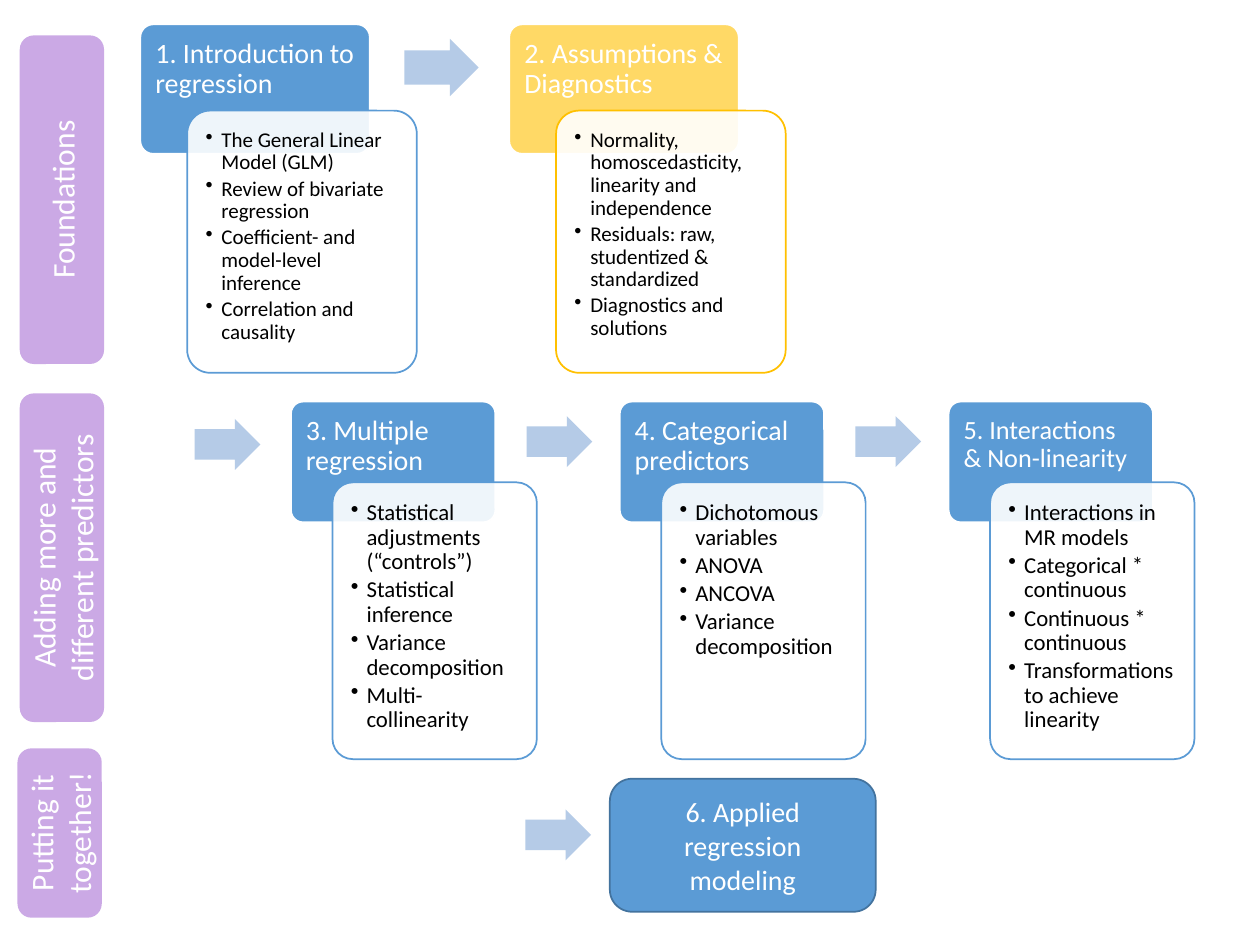
from lxml import etree
from pptx import Presentation
from pptx.dml import color
from pptx.enum import shapes, text
from pptx.oxml import ns
from pptx.util import Pt

BLUE, GOLD, LILAC, PALE, WHITE = "5B9BD5", "FFD966", "CBA9E5", "B5CBE7", "FFFFFF"
ROUND, ARROW = shapes.MSO_SHAPE.ROUNDED_RECTANGLE, shapes.MSO_SHAPE.RIGHT_ARROW
LEFT, CENTER = text.PP_ALIGN.LEFT, text.PP_ALIGN.CENTER

# Content: stages as (label, left, top, height)
stages = [
    ("Foundations", 11.3, 20.2, 187.8),
    ("Adding more and different predictors", 11.3, 224.8, 187.8),
    ("Putting it together!", 10, 427.6, 96.8),
]

# Topics as (heading, heading size, fill, outline, bullets)
foundations = [
    ("1. Introduction to regression", 16, BLUE, BLUE, [
        "The General Linear Model (GLM)", "Review of bivariate regression",
        "Coefficient- and model-level inference", "Correlation and causality"]),
    ("2. Assumptions & Diagnostics", 16, GOLD, "FFC000", [
        "Normality, homoscedasticity, linearity and independence",
        "Residuals: raw, studentized & standardized",
        "Diagnostics and solutions"]),
]
predictors = [
    ("3. Multiple regression", 16, BLUE, BLUE, [
        "Statistical adjustments (“controls”)", "Statistical inference",
        "Variance decomposition", "Multi-collinearity"]),
    ("4. Categorical predictors", 16, BLUE, BLUE, [
        "Dichotomous variables", "ANOVA", "ANCOVA", "Variance decomposition"]),
    ("5. Interactions & Non-linearity", 15, BLUE, BLUE, [
        "Interactions in MR models", "Categorical * continuous",
        "Continuous * continuous", "Transformations to achieve linearity"]),
]

# Row geometry: head and card are (width, height), shift is card from head,
# arrow is (dx, dy, width, height) from head
rows = [
    dict(topics=foundations, left=80.2, top=13.9, pitch=210.8, head=(131.2, 74),
         shift=(26.8, 49.3), card=(131.2, 149.8), arrow=(150.9, 8.3, 42.4, 32.8),
         size=12, inset=6.7),
    dict(topics=predictors, left=166.3, top=229.5, pitch=187.9, head=(116.8, 69),
         shift=(23.7, 46.1), card=(116.8, 158.2), arrow=(134.6, 8.3, 37.6, 29.1),
         size=13, inset=7.2),
]
lone_arrows = [(111.2, 239.4), (300.2, 462.5)]

deck = Presentation()
deck.slide_width, deck.slide_height = Pt(720), Pt(540)
page = deck.slides.add_slide(deck.slide_layouts[6])


def rgb(value):
    return color.RGBColor.from_string(value)


def add_box(kind, left, top, width, height, fill, line=None, corner=None):
    box = page.shapes.add_shape(kind, Pt(left), Pt(top), Pt(width), Pt(height))
    box.shadow.inherit = False
    box.fill.solid()
    box.fill.fore_color.rgb = rgb(fill)
    if line:
        box.line.color.rgb = rgb(line)
        box.line.width = Pt(1)
    else:
        box.line.fill.background()
    if corner:
        box.adjustments[0] = corner
    return box


def add_arrow(left, top, width=37.6, height=29.1):
    arrow = add_box(ARROW, left, top, width, height, PALE)
    arrow.adjustments[0] = 0.6


def write(box, lines, size, ink, align=CENTER, spacing=None, after=0):
    frame = box.text_frame
    frame.word_wrap = True
    frame.vertical_anchor = (text.MSO_ANCHOR.MIDDLE if align == CENTER
                             else text.MSO_ANCHOR.TOP)
    frame.text = "\n".join(lines)
    for para in frame.paragraphs:
        para.alignment = align
        para.line_spacing = spacing
        para.space_after = Pt(after)
        para.font.size, para.font.name = Pt(size), "Calibri"
        para.font.color.rgb = rgb(ink)
    return frame


def set_insets(frame, left, top, right, bottom):
    frame.margin_left, frame.margin_top = Pt(left), Pt(top)
    frame.margin_right, frame.margin_bottom = Pt(right), Pt(bottom)


def add_bullets(frame):
    for para in frame.paragraphs:
        props = para._p.get_or_add_pPr()
        props.set("marL", str(Pt(9)))
        props.set("indent", str(-Pt(9)))
        bullet = props.makeelement(ns.qn("a:buChar"), {"char": "•"})
        props.insert_element_before(bullet, "a:tabLst", "a:defRPr", "a:extLst")


def set_opacity(box, percent):
    tint = box.fill._xPr.find(ns.qn("a:solidFill"))[0]
    etree.SubElement(tint, ns.qn("a:alpha"), val=str(percent * 1000))


# Topic rows: heading, overlapping card, arrow to the next topic
for row in rows:
    for index, (heading, size, fill, outline, bullets) in enumerate(row["topics"]):
        left, top = row["left"] + index * row["pitch"], row["top"]
        head = add_box(ROUND, left, top, *row["head"], fill, WHITE, 0.1)
        frame = write(head, [heading], size, WHITE, LEFT, 0.9)
        set_insets(frame, 6.5, 6.5, 6.5, 3)

        dx, dy = row["shift"]
        card = add_box(ROUND, left + dx, top + dy, *row["card"], WHITE, outline, 0.1)
        set_opacity(card, 90)
        frame = write(card, bullets, row["size"], "000000", LEFT, 0.9, 2)
        set_insets(frame, *[row["inset"]] * 4)
        add_bullets(frame)

        if index < len(row["topics"]) - 1:
            dx, dy, width, height = row["arrow"]
            add_arrow(left + dx, top + dy, width, height)

# Final topic and the arrows that lead into rows
final = add_box(ROUND, 348.5, 445, 151.9, 76, BLUE, "43739E")
write(final, ["6. Applied regression modeling"], 16, WHITE)
for left, top in lone_arrows:
    add_arrow(left, top)

# Stage labels, reading upwards
for label, left, top, height in stages:
    stage = add_box(ROUND, left, top, 48.2, height, LILAC)
    frame = write(stage, [label], 18, WHITE)
    frame._txBody.bodyPr.set("vert", "vert270")

deck.save("out.pptx")
